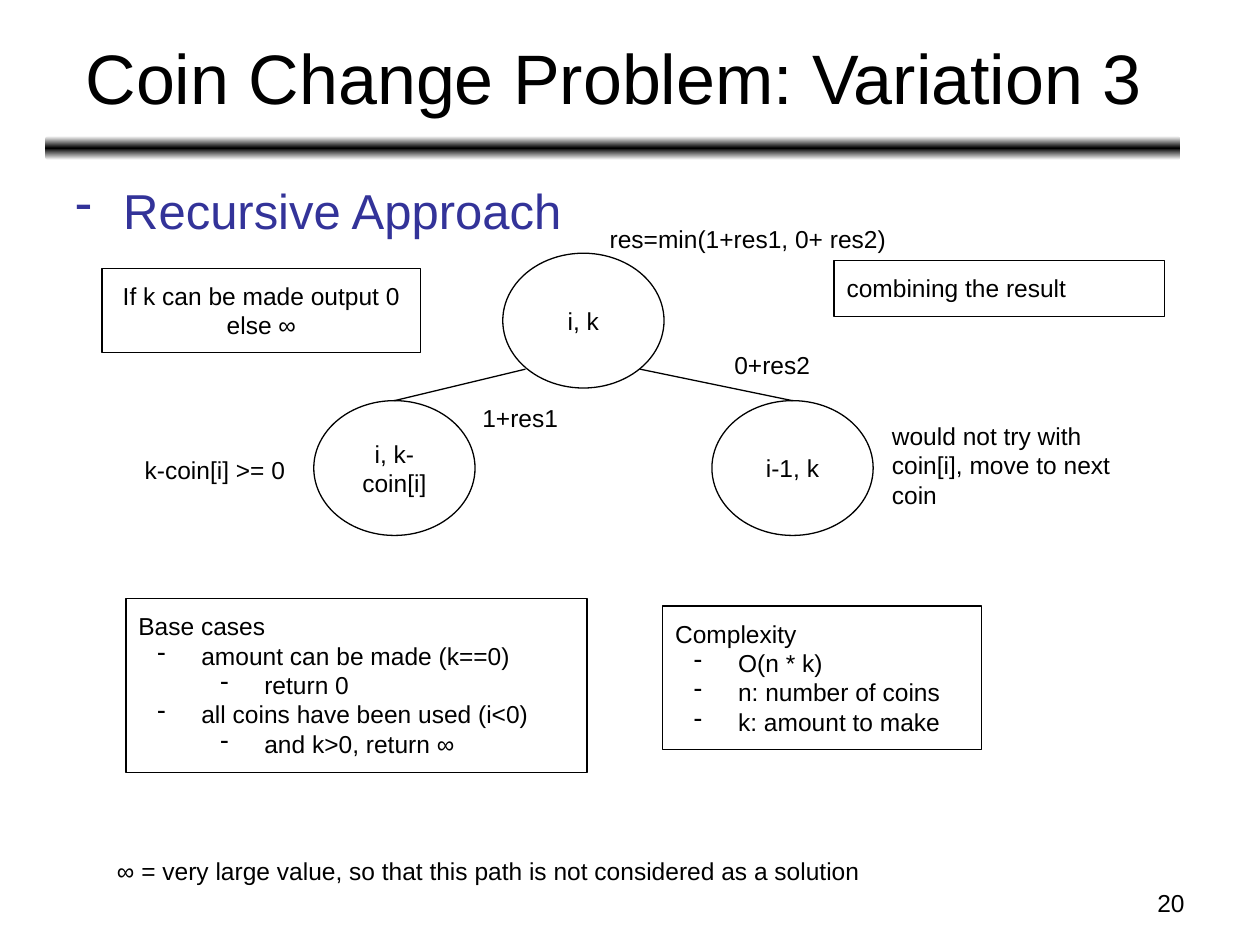
from copy import deepcopy
from dataclasses import dataclass

from lxml import etree
from pptx import Presentation
from pptx.dml.color import RGBColor
from pptx.enum.shapes import MSO_CONNECTOR, MSO_SHAPE
from pptx.enum.text import MSO_ANCHOR, PP_ALIGN
from pptx.oxml.ns import qn
from pptx.util import Inches, Pt

LEFT, CENTER, RIGHT = PP_ALIGN.LEFT, PP_ALIGN.CENTER, PP_ALIGN.RIGHT
TOP, MIDDLE = MSO_ANCHOR.TOP, MSO_ANCHOR.MIDDLE
RECT, OVAL = MSO_SHAPE.RECTANGLE, MSO_SHAPE.OVAL
ROUND = MSO_SHAPE.ROUNDED_RECTANGLE
STRAIGHT = MSO_CONNECTOR.STRAIGHT


@dataclass(frozen=True)
class Theme:
    font: str = "Arial"
    ink: RGBColor = RGBColor(0, 0, 0)
    paper: RGBColor = RGBColor(255, 255, 255)
    accent: RGBColor = RGBColor(0x33, 0x33, 0x99)
    title: int = 40
    head: int = 28
    text: int = 14
    line: float = 0.75


THEME = Theme()


def add_dash(para, level, hang):
    props = para._p.get_or_add_pPr()
    props.set("marL", str(Inches(0.5 * level)))
    props.set("indent", str(-Inches(hang)))
    etree.SubElement(props, qn("a:buChar")).set("char", "-")
    para.level = level - 1


def write(shape, lines, size=THEME.text, color=THEME.ink, align=LEFT,
          anchor=TOP, pad=0.1, hang=0.35):
    frame = shape.text_frame
    frame.word_wrap = True
    frame.vertical_anchor = anchor
    frame.margin_left = frame.margin_right = Inches(0.1)
    frame.margin_top = frame.margin_bottom = Inches(pad)
    for num, (text, level) in enumerate(lines):
        para = frame.add_paragraph() if num else frame.paragraphs[0]
        para.alignment = align
        if level:
            add_dash(para, level, hang)
        run = para.add_run()
        run.text = text
        run.font.name = THEME.font
        run.font.size = Pt(size)
        run.font.color.rgb = color


def add_label(slide, area, *lines, **form):
    box = slide.shapes.add_textbox(*map(Inches, area))
    write(box, lines, **form)


def add_box(slide, kind, area, *lines, **form):
    box = slide.shapes.add_shape(kind, *map(Inches, area))
    box.shadow.inherit = False
    if kind == OVAL:
        box.fill.solid()
        box.fill.fore_color.rgb = THEME.paper
    else:
        box.fill.background()
    box.line.color.rgb = THEME.ink
    box.line.width = Pt(THEME.line)
    write(box, lines, **form)
    return box


def add_node(slide, left, top, text):
    return add_box(slide, OVAL, (left, top, 1.28, 1.07), (text, 0),
                   align=CENTER, anchor=MIDDLE)


def add_edge(slide, left, top, child):
    edge = slide.shapes.add_connector(
        STRAIGHT, Inches(left), Inches(top), child.left, child.top)
    edge.end_connect(child, 0)
    edge.line.color.rgb = THEME.ink
    edge.line.width = Pt(THEME.line)
    etree.SubElement(edge._element.spPr, qn("a:effectLst"))


def add_bar(slide, area):
    bar = slide.shapes.add_shape(ROUND, *map(Inches, area))
    bar.shadow.inherit = False
    bar.line.fill.background()
    bar.fill.gradient()
    bar.fill.gradient_angle = 90
    stops = bar._element.spPr.find(".//" + qn("a:gsLst"))
    stops.insert(1, deepcopy(stops[0]))
    shades = (THEME.paper, THEME.ink, THEME.paper)
    for num, (stop, shade) in enumerate(zip(bar.fill.gradient_stops, shades)):
        stop.color.rgb = shade
        stop.position = num / 2


def add_tree(slide):
    add_node(slide, 3.99, 2.01, "i, k")
    take = add_node(slide, 2.49, 3.18, "i, k-coin[i]")
    skip = add_node(slide, 5.65, 3.18, "i-1, k")
    add_edge(slide, 4.17, 2.93, take)
    add_edge(slide, 5.08, 2.93, skip)


def main():
    deck = Presentation()
    deck.slide_width, deck.slide_height = Inches(10), Inches(7.5)
    slide = deck.slides.add_slide(deck.slide_layouts[6])

    add_bar(slide, (0.36, 1.08, 9.01, 0.19))
    add_label(slide, (0.37, 0.11, 9, 0.99),
              ("Coin Change Problem: Variation 3", 0),
              size=THEME.title, align=CENTER, anchor=MIDDLE, pad=0.05)
    add_label(slide, (0.38, 1.38, 9, 0.55), ("Recursive Approach", 1),
              size=THEME.head, color=THEME.accent, pad=0.05, hang=0.38)
    add_label(slide, (7.17, 7, 2.33, 0.35), ("20", 0), align=RIGHT, pad=0.05)

    add_tree(slide)
    for area, text in (
        ((3.73, 3.1, 0.93, 0.44), "1+res1"),
        ((5.73, 2.68, 1.01, 0.44), "0+res2"),
        ((4.74, 1.68, 2.61, 0.44), "res=min(1+res1, 0+ res2)"),
        ((1.05, 3.51, 1.36, 0.44), "k-coin[i] >= 0"),
        ((6.98, 3.24, 2.11, 0.91),
         "would not try with coin[i], move to next coin"),
        ((0.83, 6.69, 7.09, 0.44),
         "∞ = very large value, so that this path is not considered "
         "as a solution"),
    ):
        add_label(slide, area, (text, 0))

    add_box(slide, RECT, (0.81, 2.13, 2.53, 0.67),
            ("If k can be made output 0", 0), ("else ∞", 0), align=CENTER)
    add_box(slide, RECT, (6.62, 2.07, 2.62, 0.44),
            ("combining the result", 0))
    add_box(slide, RECT, (1, 4.75, 3.66, 1.38),
            ("Base cases", 0),
            ("amount can be made (k==0)", 1), ("return 0", 2),
            ("all coins have been used (i<0)", 1), ("and k>0, return ∞", 2))
    add_box(slide, RECT, (5.26, 4.81, 2.53, 1.14),
            ("Complexity", 0), ("O(n * k)", 1),
            ("n: number of coins", 1), ("k: amount to make", 1))

    deck.save("out.pptx")


if __name__ == "__main__":
    main()
